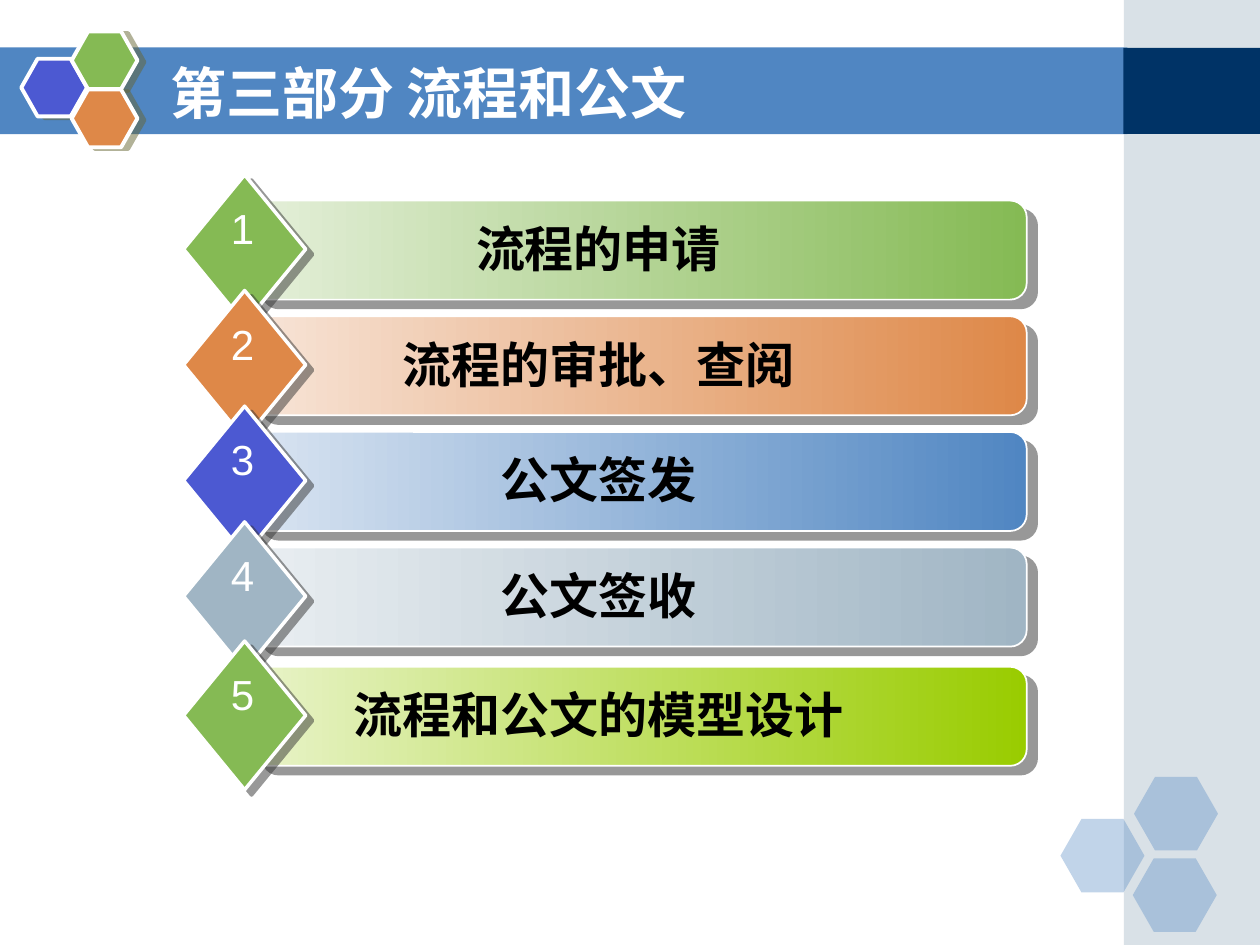
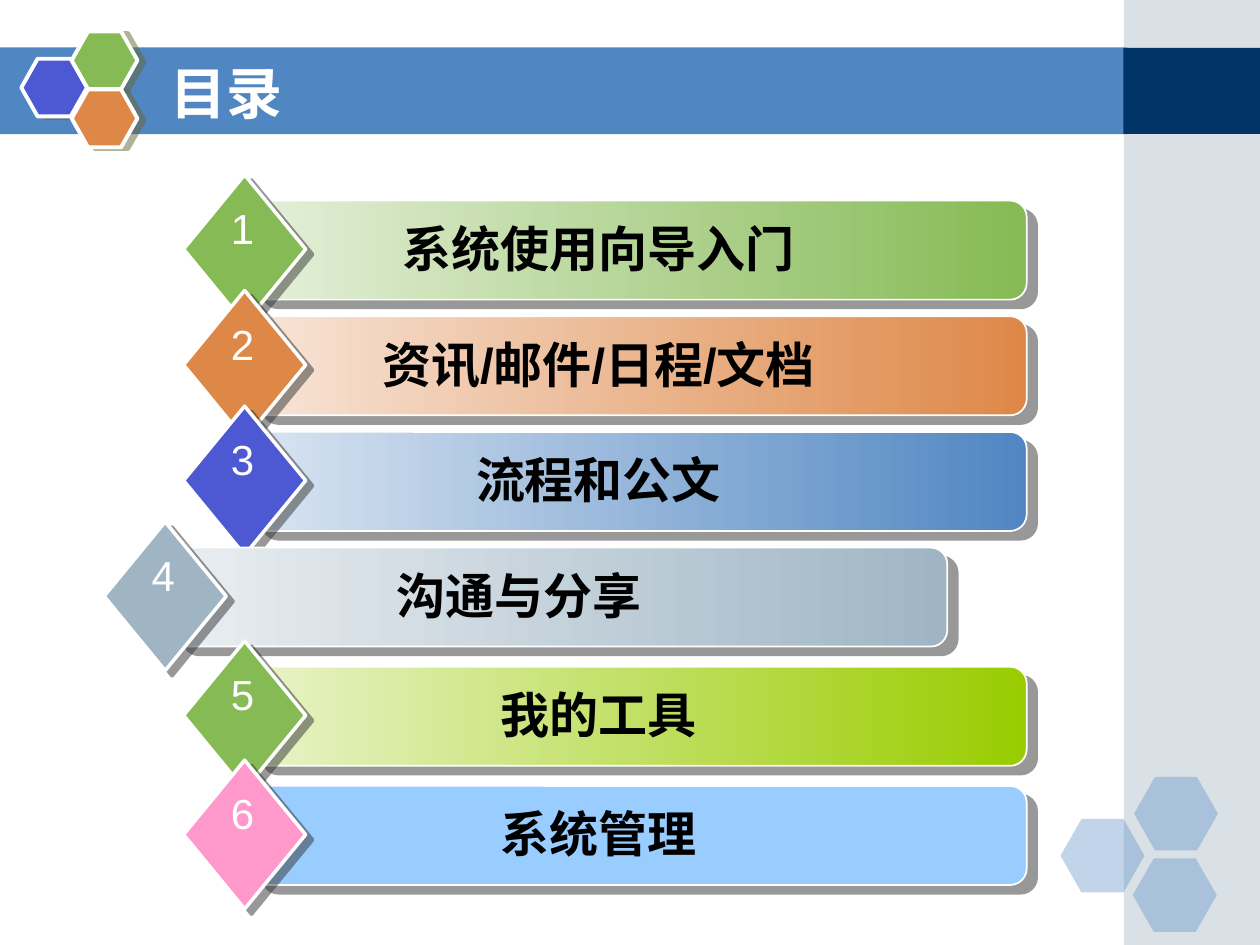
from dataclasses import dataclass

from lxml import etree
from pptx import Presentation
from pptx.dml.color import RGBColor
from pptx.enum import shapes, text
from pptx.oxml.ns import qn
from pptx.util import Pt


@dataclass(frozen=True)
class Theme:
    white: str = "FFFFFF"
    black: str = "000000"
    blue: str = "5086C2"
    navy: str = "003366"
    indigo: str = "4C59D2"
    green: str = "85BA54"
    orange: str = "DE8848"
    steel: str = "A0B5C4"
    lime: str = "99CC00"
    sky: str = "99CCFF"
    pink: str = "FF99CC"
    title_font: str = "DejaVu Sans"
    body_font: str = "Arial"
    title_size: int = 32
    label_size: int = 28
    number_size: int = 24


THEME = Theme()

# Each slide: title, row labels, horizontal shift of single rows by index
SLIDES = [
    ("第三部分 流程和公文",
     ["流程的申请", "流程的审批、查阅", "公文签发", "公文签收", "流程和公文的模型设计"],
     {}),
    ("目录",
     ["系统使用向导入门", "资讯/邮件/日程/文档", "流程和公文", "沟通与分享", "我的工具", "系统管理"],
     {3: -45.4}),
]

# Each row: diamond colour, bar colours from right to left
ROW_STYLES = [
    (THEME.green, (THEME.green, "E4EFD9")),
    (THEME.orange, (THEME.orange, "F7E4D7")),
    (THEME.indigo, (THEME.blue, "D9E4F1")),
    (THEME.steel, (THEME.steel, "E9EEF1")),
    (THEME.green, (THEME.lime, "E8F3C8")),
    (THEME.pink, (THEME.sky,)),
]

# Shadow: colour, distance in points, direction in degrees
BADGE_SHADOW = ("666633", 4.1, 14)
BAR_SHADOW = ("333333", 7.8, 40)
DIAMOND_SHADOW = ("333333", 5, 37)

BADGE_HEXAGONS = [(12.2, 33.6, THEME.indigo), (41, 18, THEME.green), (41, 51.2, THEME.orange)]
CORNER_HEXAGONS = [(606, 468), (648, 444), (647.3, 490.5)]

BAR_LEFT, BAR_TOP = 143.9, 114.6
ROW_PITCH, LATE_PITCH, LATE_START = 66.1, 68.1, 3


def rgb(colour):
    return RGBColor.from_string(colour)


def points(box):
    return [Pt(value) for value in box]


def add_alpha(colour_element, percent):
    etree.SubElement(colour_element, qn("a:alpha"), val=str(percent * 1000))


def add_filled(container, kind, box, colours, line_width=0, shadow=None, opacity=100):
    """Add a preset shape; two colours give a gradient running right to left."""
    shape = container.add_shape(kind, *points(box))
    properties = shape._element.spPr
    if len(colours) == 2:
        shape.fill.gradient()
        shape.fill.gradient_angle = 180
        for stop, colour in zip(shape.fill.gradient_stops, colours):
            stop.color.rgb = rgb(colour)
    else:
        shape.fill.solid()
        shape.fill.fore_color.rgb = rgb(colours[0])
    if opacity < 100:
        add_alpha(properties.find(".//" + qn("a:srgbClr")), opacity)
    if line_width:
        shape.line.color.rgb = rgb(THEME.white)
        shape.line.width = Pt(line_width)
    else:
        shape.line.fill.background()
    shape.shadow.inherit = False
    if shadow:
        colour, distance, direction = shadow
        outer = etree.SubElement(
            properties.find(qn("a:effectLst")), qn("a:outerShdw"),
            dist=str(int(Pt(distance))), dir=str(direction * 60000),
            algn="ctr", rotWithShape="0")
        add_alpha(etree.SubElement(outer, qn("a:srgbClr"), val=colour), 50)
    return shape


def set_font(paragraph, name, size, colour, bold=False):
    paragraph.font.name = name
    paragraph.font.size = Pt(size)
    paragraph.font.bold = bold
    paragraph.font.color.rgb = rgb(colour)


def add_text(container, box, content, size, colour, bold=False, wrap=True):
    frame = container.add_textbox(*points(box)).text_frame
    frame.word_wrap = wrap
    frame.auto_size = text.MSO_AUTO_SIZE.SHAPE_TO_FIT_TEXT
    paragraph = frame.paragraphs[0]
    paragraph.text = content
    paragraph.alignment = text.PP_ALIGN.CENTER
    set_font(paragraph, THEME.body_font, size, colour, bold)


def add_decoration(container):
    rectangle = shapes.MSO_SHAPE.RECTANGLE
    hexagon = shapes.MSO_SHAPE.HEXAGON
    add_filled(container, rectangle, (-0.7, 27.1, 645, 49.6), [THEME.blue])
    add_filled(container, rectangle, (642.2, 0, 77.8, 540), [THEME.steel], opacity=40)
    add_filled(container, rectangle, (642, 27.4, 78, 49.1), [THEME.navy])
    for left, top in CORNER_HEXAGONS:
        shape = add_filled(container, hexagon, (left, top, 48, 42), [THEME.blue], opacity=35)
        shape.adjustments[0] = 0.286
    for left, top, colour in BADGE_HEXAGONS:
        shape = add_filled(container, hexagon, (left, top, 37.6, 33), [colour], 2.25, BADGE_SHADOW)
        shape.adjustments[0] = 0.283


def prepare_layout(layout, slide):
    """Draw the shared decoration on the slide, then move it to its layout."""
    for placeholder in list(layout.placeholders):
        if placeholder.placeholder_format.type == shapes.PP_PLACEHOLDER.TITLE:
            placeholder.left, placeholder.top, placeholder.width, placeholder.height = points(
                (90, 30.2, 528, 44.6))
        else:
            placeholder._element.getparent().remove(placeholder._element)
    add_decoration(slide.shapes)
    for shape in list(slide.shapes):
        if not shape.is_placeholder:
            layout.shapes._spTree.append(shape._element)


def add_title(slide, content):
    frame = slide.shapes.title.text_frame
    frame.text = content
    frame.vertical_anchor = text.MSO_ANCHOR.MIDDLE
    frame.auto_size = text.MSO_AUTO_SIZE.NONE
    paragraph = frame.paragraphs[0]
    paragraph.alignment = text.PP_ALIGN.LEFT
    set_font(paragraph, THEME.title_font, THEME.title_size, THEME.white, True)


def add_row(slide, index, label, shift):
    diamond_colour, bar_colours = ROW_STYLES[index]
    left = BAR_LEFT + shift
    late_rows = max(0, index - LATE_START)
    top = BAR_TOP + (index - late_rows) * ROW_PITCH + late_rows * LATE_PITCH
    row = slide.shapes.add_group_shape().shapes
    add_filled(row, shapes.MSO_SHAPE.ROUNDED_RECTANGLE, (left, top, 442.8, 56.6),
               bar_colours, 1, BAR_SHADOW)
    add_filled(row, shapes.MSO_SHAPE.DIAMOND, (left - 39, top - 14.7, 69.8, 85),
               [diamond_colour], 2, DIAMOND_SHADOW)
    add_text(row, (left + 23, top + 6.8, 350, 41), label,
             THEME.label_size, THEME.black, bold=True)
    add_text(row, (left - 19, top - 2.5, 27.4, 36), str(index + 1),
             THEME.number_size, THEME.white, wrap=False)


def main():
    presentation = Presentation()
    presentation.slide_width, presentation.slide_height = Pt(720), Pt(540)
    layout = presentation.slide_layouts.get_by_name("Title Only")
    for number, (title, labels, shifts) in enumerate(SLIDES):
        slide = presentation.slides.add_slide(layout)
        if number == 0:
            prepare_layout(layout, slide)
        add_title(slide, title)
        for index, label in enumerate(labels):
            add_row(slide, index, label, shifts.get(index, 0))
    presentation.save("out.pptx")


if __name__ == "__main__":
    main()
